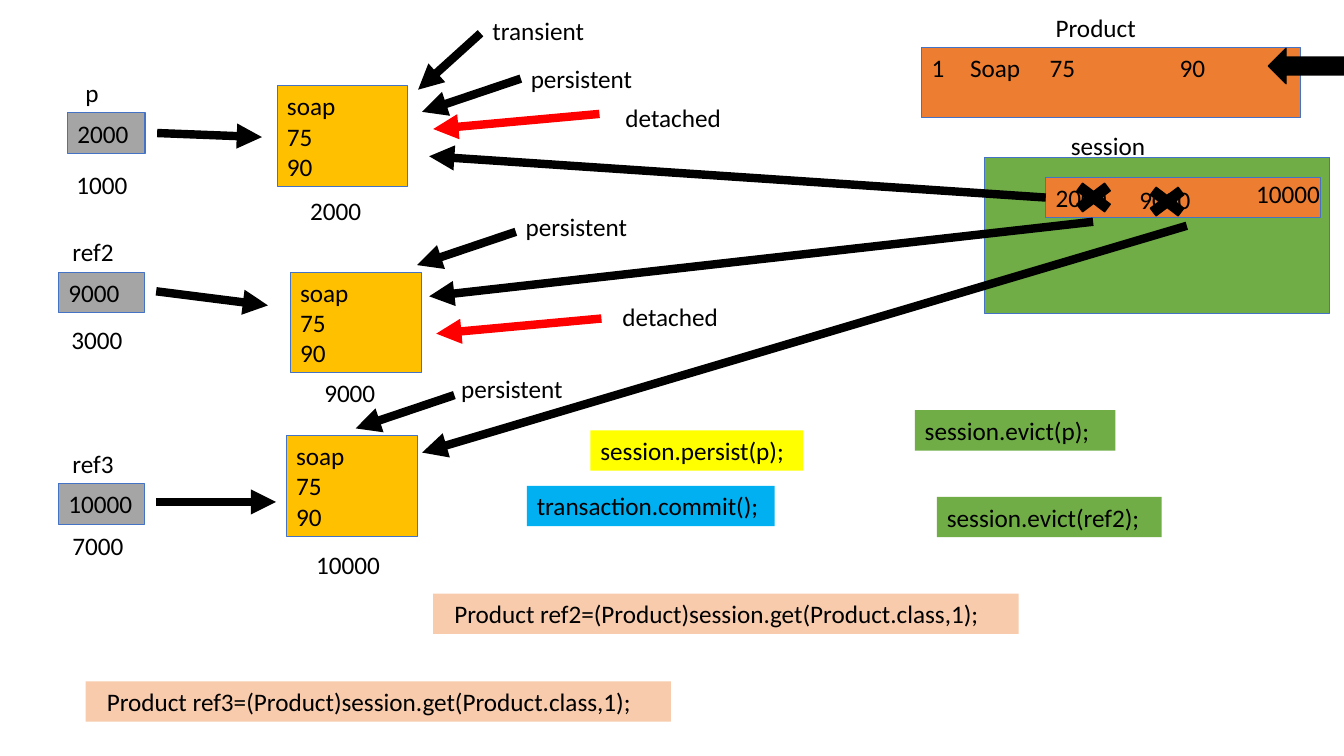
from lxml.etree import SubElement
from pptx import Presentation
from pptx.dml.color import RGBColor
from pptx.enum.shapes import MSO_CONNECTOR as Connector, MSO_SHAPE as Preset
from pptx.enum.text import MSO_ANCHOR as Anchor, PP_ALIGN as Align
from pptx.oxml.ns import qn
from pptx.util import Inches, Pt

BLACK = RGBColor(0x00, 0x00, 0x00)
RED = RGBColor(0xFF, 0x00, 0x00)
GOLD = RGBColor(0xFF, 0xC0, 0x00)
GREY = RGBColor(0xA5, 0xA5, 0xA5)
ORANGE = RGBColor(0xED, 0x7D, 0x31)
GREEN = RGBColor(0x70, 0xAD, 0x47)
BLUE = RGBColor(0x44, 0x72, 0xC4)
YELLOW = RGBColor(0xFF, 0xFF, 0x00)
SKY = RGBColor(0x00, 0xB0, 0xF0)
PEACH = RGBColor(0xF8, 0xCB, 0xAD)

# The slide is a grid of square cells; all places below are in columns and rows
SLIDE_W, SLIDE_H = Inches(13.34), Inches(7.5)
COLUMNS, ROWS = 133.4, 75
LINE_H = 4  # rows taken by one line of text with its insets
FRAME_FORMAT = {
    "word_wrap": True, "vertical_anchor": Anchor.TOP,
    "margin_left": Inches(0.1), "margin_right": Inches(0.1),
    "margin_top": Inches(0.05), "margin_bottom": Inches(0.05),
}
FONT_FORMAT = {"name": "Calibri", "size": Pt(18)}


def set_all(target, values):
    for name, value in values.items():
        setattr(target, name, value)


def col(count):
    return round(SLIDE_W * count / COLUMNS)


def row(count):
    return round(SLIDE_H * count / ROWS)


def place(box):
    left, top, width, height = box
    return col(left), row(top), col(width), row(height)


def write(frame, text, **frame_values):
    set_all(frame, {**FRAME_FORMAT, **frame_values})
    for index, line in enumerate(text.split("\n")):
        paragraph = frame.add_paragraph() if index else frame.paragraphs[0]
        paragraph.text = line
        paragraph.alignment = Align.LEFT
        for run in paragraph.runs:
            set_all(run.font, FONT_FORMAT)
            run.font.color.rgb = BLACK


def label(slide, left, top, text, width=13):
    write(slide.shapes.add_textbox(*place((left, top, width, LINE_H))).text_frame, text)


def block(slide, box, fill, text="", outline=None, preset=Preset.RECTANGLE, weight=0.75, **frame_values):
    shape = slide.shapes.add_shape(preset, *place(box))
    shape.shadow.inherit = False
    shape.fill.solid()
    shape.fill.fore_color.rgb = fill
    if outline is None:
        shape.line.fill.background()
    else:
        shape.line.color.rgb = outline
        shape.line.width = Pt(weight)
    if text:
        write(shape.text_frame, text, **frame_values)
    return shape


def arrow(slide, start, end, color=BLACK):
    connector = slide.shapes.add_connector(
        Connector.STRAIGHT, col(start[0]), row(start[1]), col(end[0]), row(end[1]))
    connector.line.color.rgb = color
    connector.line.width = Pt(6)
    properties = connector._element.spPr
    SubElement(properties.find(qn("a:ln")), qn("a:tailEnd"), type="triangle")
    SubElement(properties, qn("a:effectLst"))


def product_table(slide, box):
    left, top, width, _ = box
    label(slide, left + 12.3, top - LINE_H, "Product")
    record = block(slide, box, ORANGE, "Soap\t75\t90", BLUE)
    # Numbered row with a tab stop for each value
    settings = record.text_frame.paragraphs[0]._p.get_or_add_pPr()
    settings.set("marL", str(col(3.8)))
    settings.set("indent", str(-col(3.8)))
    SubElement(settings, qn("a:buFont"), typeface="Calibri")
    SubElement(settings, qn("a:buAutoNum"), type="arabicPlain")
    stops = SubElement(settings, qn("a:tabLst"))
    for stop in (11.7, 24.6):
        SubElement(stops, qn("a:tab"), pos=str(col(stop)), algn="l")
    # Marker for the current row
    block(slide, (left + width - 3.2, top + 0.1, 9.2, 3.5), BLACK,
          outline=BLACK, preset=Preset.LEFT_ARROW, weight=1)


def session_cache(slide, box):
    left, top, _, _ = box
    label(slide, left + 7.6, top - 3.2, "session")
    block(slide, box, GREEN, outline=BLUE)
    block(slide, (left + 6.1, top + 2, 27.3, LINE_H), ORANGE, "2000", BLUE)
    label(slide, left + 14.4, top + 2.2, "9000", 8.5)
    label(slide, left + 26, top + 1.6, "10000", 8.5)
    # Crosses over the evicted entries
    for cross_left, cross_top in ((8.2, 2), (15.5, 2.4)):
        block(slide, (left + cross_left, top + cross_top, 5.3, LINE_H), BLACK,
              outline=BLACK, preset=Preset.MATH_MULTIPLY, weight=1)


def reference(slide, box, name, address, target, name_shift, address_place):
    left, top, _, _ = box
    block(slide, box, GREY, target, BLUE)
    label(slide, left + name_shift, top - LINE_H, name, 8)
    label(slide, *address_place, address, 7.7)


def product_object(slide, box, address, address_shift):
    left, top, _, _ = box
    block(slide, box, GOLD, "soap\n75\n90", BLUE)
    label(slide, left + address_shift[0], top + address_shift[1], address, 8.5)


def code_lines(slide):
    for left, top, width, fill, code in (
            (58.6, 42.7, 21.1, YELLOW, "session.persist(p);"),
            (52.3, 48.2, 24.6, SKY, "transaction.commit();"),
            (90.8, 40.7, 19.9, GREEN, "session.evict(p);"),
            (93, 49.3, 22.3, GREEN, "session.evict(ref2);")):
        block(slide, (left, top, width, LINE_H), fill, code)
    for left, top, name in ((43, 58.9, "ref2"), (8.5, 67.6, "ref3")):
        block(slide, (left, top, 58.1, LINE_H), PEACH,
              f"Product {name}=(Product)session.get(Product.class,1);", margin_left=col(2.1))


def object_states(slide):
    for text, left, top, start, end, color in (
            ("transient", 47.9, 1, (47.7, 3.3), (41.5, 8.9), BLACK),
            ("persistent", 51.7, 5.8, (51.7, 7.8), (41.9, 11.1), BLACK),
            ("detached", 61.1, 9.7, (59.5, 11.3), (43, 12.8), RED),
            ("persistent", 51.2, 20.5, (51.2, 23), (41.4, 26.3), BLACK),
            ("detached", 60.8, 29.4, (59.7, 31.6), (43.3, 33.1), RED),
            ("persistent", 44.8, 36.5, (45.1, 39.2), (35.3, 42.5), BLACK)):
        label(slide, left, top, text)
        arrow(slide, start, end, color)


def pointers(slide):
    for start, end in (
            # From each reference to its object
            ((15.6, 13.2), (26, 13.6)),
            ((15.5, 28.9), (26.6, 30.3)),
            ((15.5, 49.8), (27.4, 49.8)),
            # From the session to each object
            ((103.8, 19.6), (42.6, 15.5)),
            ((108.5, 22), (42.6, 29.4)),
            ((117.8, 22.4), (41.9, 44.9))):
        arrow(slide, start, end)


def main():
    deck = Presentation()
    set_all(deck, {"slide_width": SLIDE_W, "slide_height": SLIDE_H})
    slide = deck.slides.add_slide(deck.slide_layouts[6])

    product_table(slide, (91.5, 4.7, 37.6, 7))
    session_cache(slide, (97.7, 15.6, 34.3, 15.5))

    reference(slide, (6.7, 11.2, 7.7, LINE_H), "p", "1000", "2000", 0.8, (6.6, 16.3))
    reference(slide, (5.8, 27, 8.5, LINE_H), "ref2", "3000", "9000", 0.4, (6.1, 31.7))
    reference(slide, (5.8, 48, 8.5, LINE_H), "ref3", "7000", "10000", 0.4, (6.2, 52.1))

    product_object(slide, (27.5, 8.5, 13, 10), "2000", (2.3, 10.4))
    product_object(slide, (28.8, 27, 13, 10), "9000", (2.4, 9.9))
    product_object(slide, (28.4, 43.2, 13, 10), "10000", (2, 10.8))

    code_lines(slide)
    object_states(slide)
    pointers(slide)
    deck.save("out.pptx")


if __name__ == "__main__":
    main()
